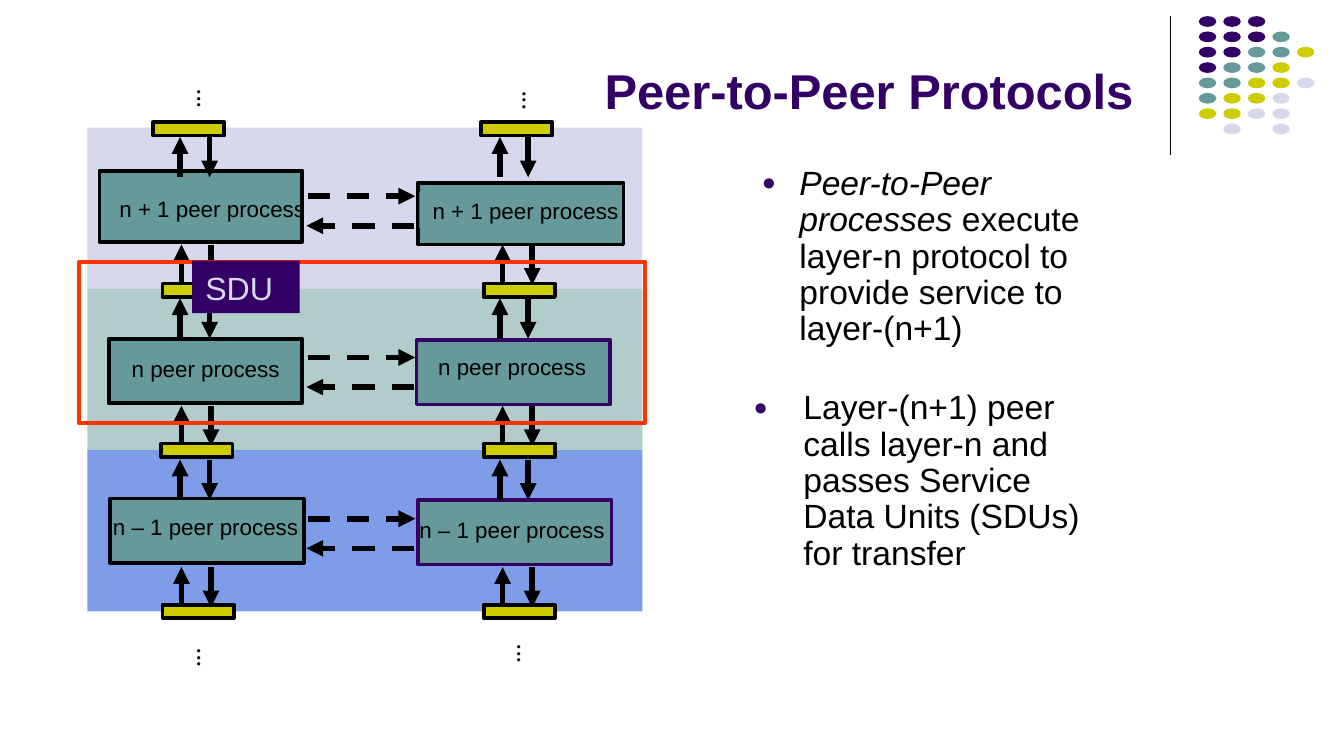
from lxml import etree
from pptx import Presentation
from pptx.dml.color import RGBColor
from pptx.enum.dml import MSO_LINE
from pptx.enum.shapes import MSO_CONNECTOR, MSO_SHAPE
from pptx.enum.text import MSO_ANCHOR, PP_ALIGN
from pptx.oxml.ns import qn
from pptx.util import Inches, Pt

COLORS = {
    "purple": "330066", "teal": "669999", "yellow": "CCCC00", "lavender": "D8D8EC",
    "blue": "7E9CE8", "mint": "B1CCCB", "red": "FF3300", "black": "000000",
}
RGB = {name: RGBColor.from_string(value) for name, value in COLORS.items()}

prs = Presentation()
prs.slide_width, prs.slide_height = Inches(10), Inches(10 * 9 / 16)
slide = prs.slides.add_slide(prs.slide_layouts[6])


def add_box(x, y, w, h, fill=None, line=None, weight=2, kind=MSO_SHAPE.RECTANGLE,
            text=None, size=12, color="black", bold=False, wrap=False,
            anchor=MSO_ANCHOR.TOP, inset=(0.1, 0.05)):
    """Add a shape, or a plain text box when there is text but no fill."""
    at = [Inches(v) for v in (x, y, w, h)]
    if text and not fill:
        sp = slide.shapes.add_textbox(*at)
    else:
        sp = slide.shapes.add_shape(kind, *at)
        sp.shadow.inherit = False
        if fill:
            sp.fill.solid()
            sp.fill.fore_color.rgb = RGB[fill]
        else:
            sp.fill.background()
        if line:
            sp.line.color.rgb = RGB[line]
            sp.line.width = Pt(weight)
        else:
            sp.line.fill.background()
    if text:
        tf = sp.text_frame
        dx, dy = (Inches(v) for v in inset)
        frame = {"word_wrap": wrap, "vertical_anchor": anchor, "margin_left": dx,
                 "margin_right": dx, "margin_top": dy, "margin_bottom": dy}
        for name, value in frame.items():
            setattr(tf, name, value)
        p = tf.paragraphs[0]
        p.alignment = PP_ALIGN.LEFT
        r = p.add_run()
        r.text = text
        for name, value in {"name": "Arial", "size": Pt(size), "bold": bold}.items():
            setattr(r.font, name, value)
        r.font.color.rgb = RGB[color]
    return sp


def add_line(x1, y1, x2, y2, weight=3, arrow=True, dash=None):
    ends = [Inches(v) for v in (x1, y1, x2, y2)]
    cxn = slide.shapes.add_connector(MSO_CONNECTOR.STRAIGHT, *ends)
    cxn.line.color.rgb = RGB["black"]
    cxn.line.width = Pt(weight)
    if dash:
        cxn.line.dash_style = dash
    if arrow:
        ln = cxn.line._get_or_add_ln()
        etree.SubElement(ln, qn("a:tailEnd"), type="triangle")
    etree.SubElement(cxn._element.spPr, qn("a:effectLst"))


# Corner decoration
add_line(8.71, 0.12, 8.71, 1.15, weight=0.75, arrow=False)
DOT_ROWS = ["PPP", "PPPT", "PPTTY", "PTTY", "TTYYL", "TYYL", "YYLL", " L L"]
DOT_FILLS = {"P": "purple", "T": "teal", "Y": "yellow", "L": "lavender"}
for row, letters in enumerate(DOT_ROWS):
    for col, letter in enumerate(letters):
        if letter in DOT_FILLS:
            add_box(8.92 + col * 0.73 / 4, 0.12 + row * 0.8 / 7, 0.13, 0.08,
                    DOT_FILLS[letter], kind=MSO_SHAPE.OVAL)

# Title and bullets
add_box(4.4, 0.1, 4.35, 0.84, text="Peer-to-Peer Protocols", size=26.2,
        color="purple", bold=True, wrap=True, anchor=MSO_ANCHOR.BOTTOM)

BULLETS = [
    (5.57, 1.19, 0.28, [
        ("Peer-to-Peer processes", True),
        (" execute layer-n protocol to provide service to layer-(n+1)", False)]),
    (5.51, 2.86, 0.37, [
        ("Layer-(n+1) peer calls layer-n and passes Service Data Units (SDUs) "
         "for transfer", False)]),
]
for x, y, indent, runs in BULLETS:
    tf = slide.shapes.add_textbox(Inches(x), Inches(y), Inches(2.8), Inches(1.16)).text_frame
    tf.word_wrap = True
    p = tf.paragraphs[0]
    p.line_spacing = 0.9
    pPr = p._p.get_or_add_pPr()
    pPr.set("marL", str(Inches(indent)))
    pPr.set("indent", str(-Inches(indent)))
    bu_color = etree.SubElement(pPr, qn("a:buClr"))
    etree.SubElement(bu_color, qn("a:srgbClr"), val=COLORS["purple"])
    etree.SubElement(pPr, qn("a:buSzPct"), val="70000")
    etree.SubElement(pPr, qn("a:buFont"), typeface="Arial")
    etree.SubElement(pPr, qn("a:buChar"), char="●")
    for text, italic in runs:
        r = p.add_run()
        r.text = text
        for name, value in {"name": "Arial", "size": Pt(18), "italic": italic}.items():
            setattr(r.font, name, value)
        r.font.color.rgb = RGB["black"]

# Layer bands, top to bottom
PITCH = 1.2
for i, fill in enumerate(["lavender", "mint", "blue"]):
    add_box(0.65, 0.95 + i * PITCH, 4.13, PITCH, fill)

# Peer processes: box, outline, label place
LAYERS = [
    ("n + 1 peer process", "teal", (0.1, 0.05), MSO_ANCHOR.MIDDLE, [
        ((0.74, 1.27, 1.51, 0.53), "black", (0.79, 1.42, 0.97, 0.27)),
        ((3.11, 1.36, 1.53, 0.46), "black", (3.12, 1.43, 0.97, 0.27))]),
    ("n peer process", "teal", (0.07, 0.04), MSO_ANCHOR.TOP, [
        ((0.81, 2.52, 1.44, 0.48), "black", (0.91, 2.6, 1.26, 0.28)),
        ((3.1, 2.53, 1.44, 0.48), "purple", (3.19, 2.59, 1.26, 0.28))]),
    ("n – 1 peer process", None, (0.07, 0.04), MSO_ANCHOR.TOP, [
        ((0.82, 3.71, 1.44, 0.48), "black", (0.77, 3.78, 1.54, 0.28)),
        ((3.11, 3.72, 1.44, 0.48), "purple", (3.05, 3.8, 1.54, 0.28))]),
]
for i, (label, label_fill, inset, anchor, peers) in enumerate(LAYERS):
    for box, outline, label_at in peers:
        add_box(*box, "teal", outline)
        add_box(*label_at, label_fill, text=label, inset=inset, anchor=anchor)
    shift = i * PITCH
    # Arrows above and below each process: up x, down x, top y
    for up, down, top in [(1.34, 1.56, 1.02), (3.72, 3.93, 1.02),
                          (1.35, 1.57, 1.82), (3.74, 3.96, 1.82)]:
        y = top + shift
        add_line(down, y, down, y + 0.3)
        add_line(up, y + 0.3, up, y)
    # Virtual exchange between the peers
    add_line(2.29, 1.46 + shift, 3.09, 1.46 + shift, dash=MSO_LINE.DASH)
    add_line(3.08, 1.68 + shift, 2.28, 1.68 + shift, dash=MSO_LINE.DASH)

# Service access points
for left, right, y in [(1.14, 3.58, 0.91), (1.21, 3.6, 2.11),
                       (1.2, 3.6, 3.3), (1.21, 3.6, 4.5)]:
    for x in (left, right):
        add_box(x, y, 0.53, 0.1, "yellow", "black")

# Vertical ellipses
for x, y in [(1.29, 0.62), (3.71, 0.63), (1.29, 4.78), (3.67, 4.75)]:
    dots = add_box(x, y, 0.38, 0.18, text="● ● ●", size=4)
    dots.rotation = 270

# Highlighted layer
add_box(0.59, 1.95, 4.21, PITCH, line="red", weight=2.25)
add_box(1.43, 1.94, 0.8, 0.39, "purple", text="SDU", size=17.2, color="lavender",
        wrap=True, anchor=MSO_ANCHOR.BOTTOM)

prs.save("out.pptx")
